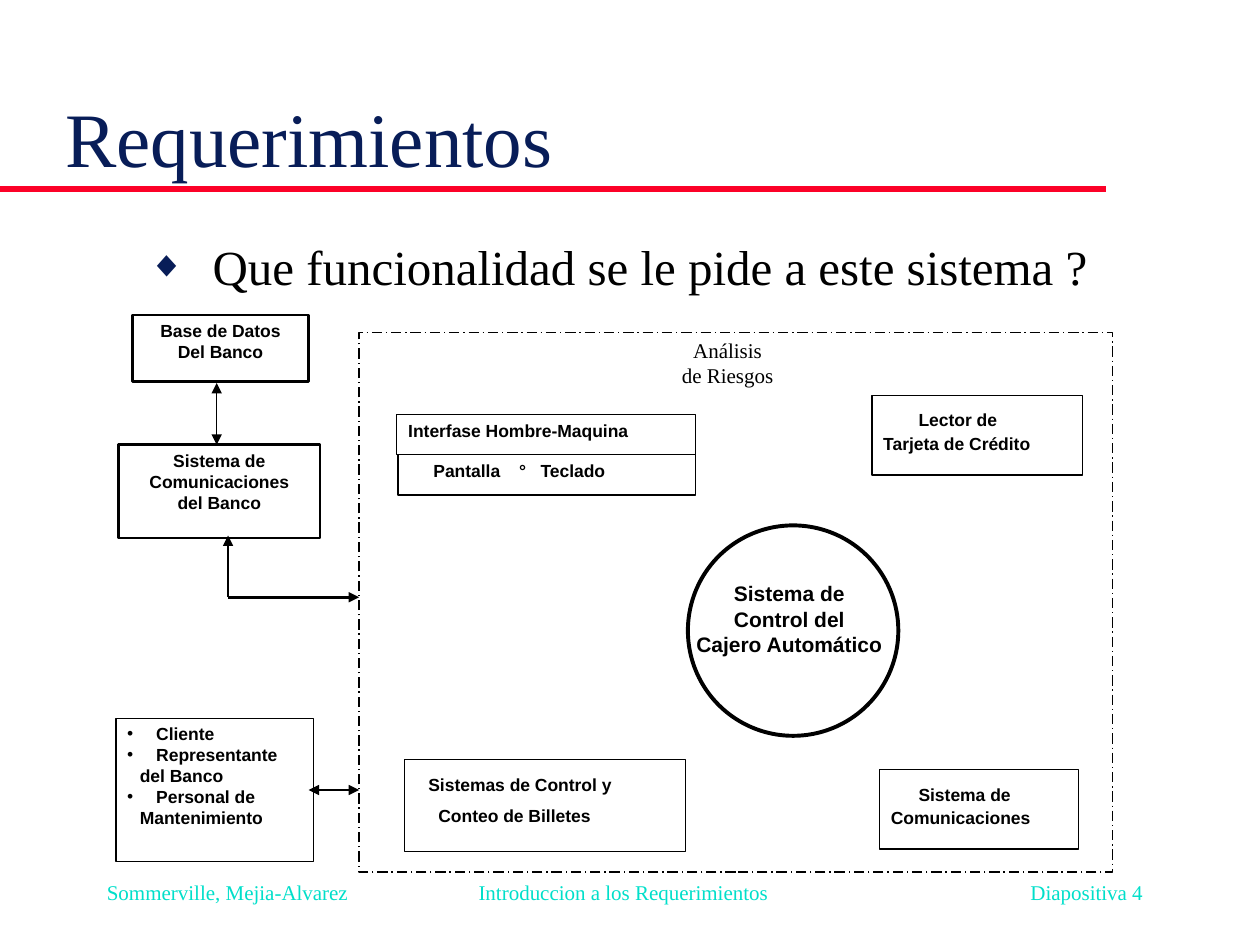
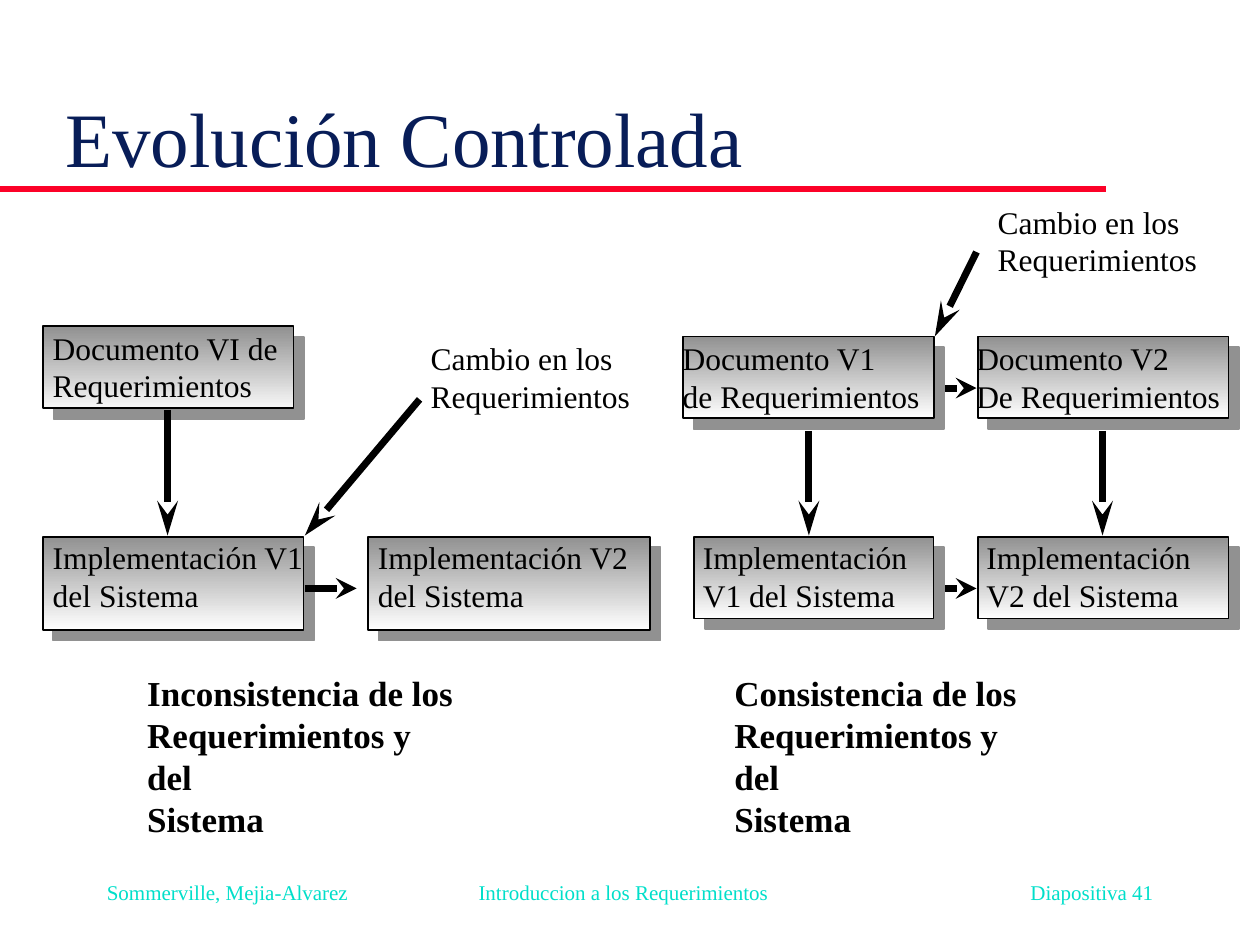
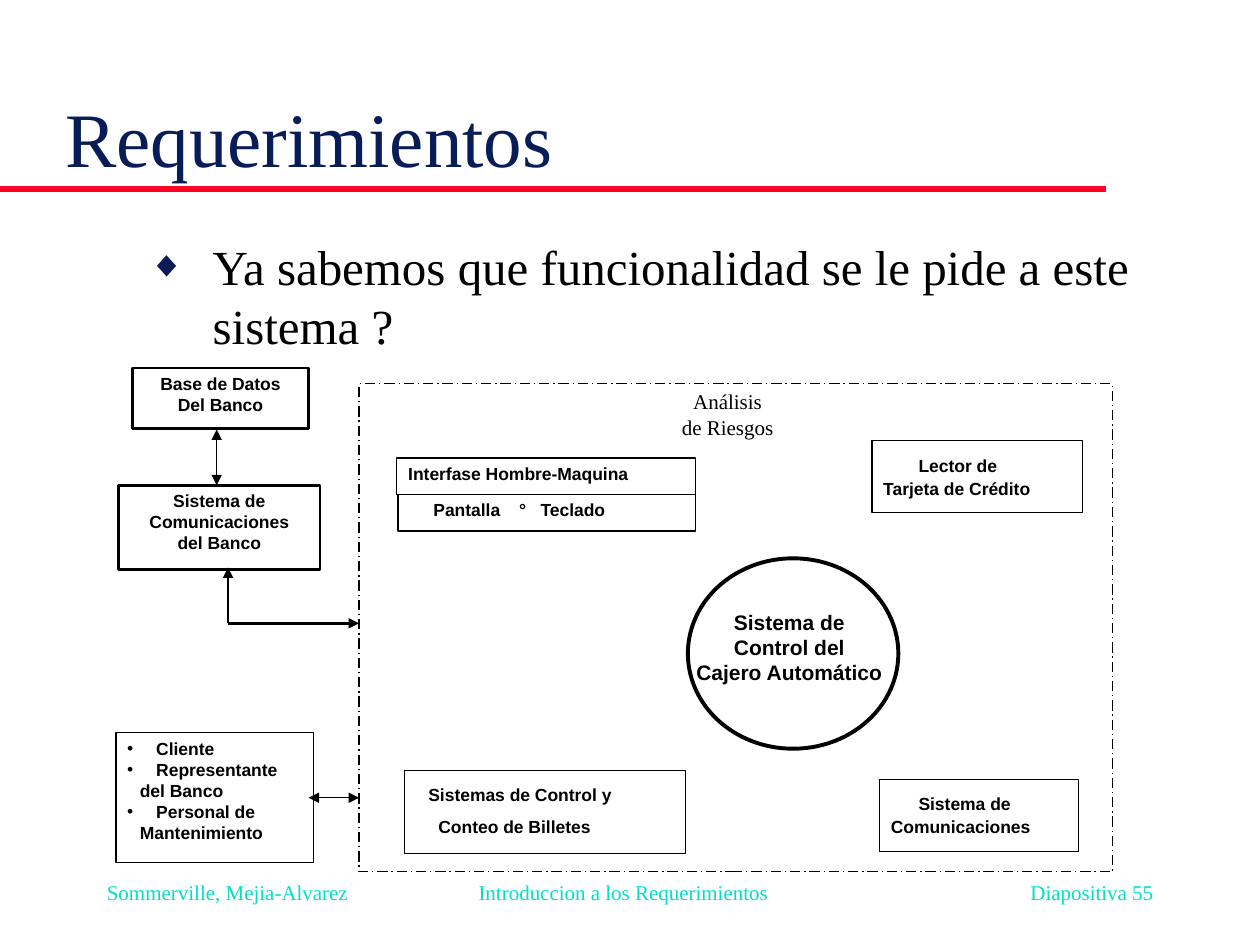
"""Builds three slides on requirements: two system diagrams and one evolution chart."""
import pptx
import pptx.dml.color
import pptx.enum.dml
import pptx.enum.shapes
import pptx.enum.text
import pptx.oxml
import pptx.oxml.ns
import pptx.util

COLUMNS, ROWS = 100, 75
WIDTH, HEIGHT = pptx.util.Inches(10), pptx.util.Inches(7.5)
BLACK, NAVY, RED, AQUA, GREY, WHITE = (
    "000000", "081D58", "FC0128", "00DFCA", "919191", "FFFFFF")
SERIF, SANS = "Times New Roman", "Arial"
WIDE_INSET, SMALL_INSET, LOW_INSET = (1, 0.5), (0.9, 0.4), (0.9, 1.1)
SHAPES = pptx.enum.shapes.MSO_SHAPE
ANCHORS = pptx.enum.text.MSO_ANCHOR
CENTER = pptx.enum.text.PP_ALIGN.CENTER

TITLE = {"size": 44, "name": SERIF, "color": NAVY}
BODY = {"size": 28, "name": SERIF, "color": BLACK}
FOOTER = {"size": 12, "name": SERIF, "color": AQUA}
NOTE = {"size": 12, "name": SERIF, "color": BLACK}
LABEL = {"size": 18, "name": SERIF, "color": BLACK}
VERDICT = {"size": 20, "name": SERIF, "color": BLACK, "bold": True}
PART = {"size": 10, "name": SANS, "color": BLACK, "bold": True}
CORE = {"size": 12, "name": SANS, "color": BLACK, "bold": True}

DIAGRAM_BOTTOM = 69.2


def rgb(code):
    """Turn a hex string into a colour."""
    return pptx.dml.color.RGBColor.from_string(code)


def across(columns):
    """Length of a number of grid columns."""
    return round(WIDTH * columns / COLUMNS)


def down(rows):
    """Length of a number of grid rows."""
    return round(HEIGHT * rows / ROWS)


def area(left, top, width, height):
    """Grid area as lengths."""
    return across(left), down(top), across(width), down(height)


def add_xml(parent, tag, **attributes):
    """Append a DrawingML element and return it."""
    child = parent.makeelement(pptx.oxml.ns.qn("a:" + tag), attributes)
    parent.append(child)
    return child


def format_para(para, typeface, left=0, hang=0, before=0, bullet=None, tint=None):
    """Set indents (in columns), space before and bullet."""
    para.space_before = pptx.util.Pt(before)
    props = para._p.get_or_add_pPr()
    props.set("marL", str(across(left)))
    props.set("indent", str(-across(hang)))
    if tint:
        add_xml(add_xml(props, "buClr"), "srgbClr", val=tint)
        add_xml(props, "buSzPct", val="75000")
    if bullet:
        add_xml(props, "buFont", typeface=typeface)
        add_xml(props, "buChar", char=bullet)
    else:
        add_xml(props, "buNone")


def write(box, lines, style, inset=WIDE_INSET, align=pptx.enum.text.PP_ALIGN.LEFT,
          anchor=ANCHORS.TOP, wrap=True):
    """Fill a shape with lines; a line is a text or a (text, format) pair."""
    frame = box.text_frame
    side, edge = across(inset[0]), down(inset[1])
    settings = {"word_wrap": wrap, "vertical_anchor": anchor,
                "margin_left": side, "margin_right": side,
                "margin_top": edge, "margin_bottom": edge}
    for name, value in settings.items():
        setattr(frame, name, value)
    for index, line in enumerate(lines):
        text, layout = (line, {}) if isinstance(line, str) else line
        para = frame.add_paragraph() if index else frame.paragraphs[0]
        para.alignment = align
        format_para(para, style["name"], **layout)
        span = para.add_run()
        span.text = text
        font = {**style, "size": pptx.util.Pt(style["size"])}
        span.font.color.rgb = rgb(font.pop("color"))
        for name, value in font.items():
            setattr(span.font, name, value)


def add_text(page, place, lines, style, **options):
    """Add a text box."""
    write(page.shapes.add_textbox(*area(*place)), lines, style, **options)


def add_outline(page, place, weight=0.75, kind=SHAPES.RECTANGLE, dash=None):
    """Add an unfilled black outline."""
    box = page.shapes.add_shape(kind, *area(*place))
    box.shadow.inherit = False
    box.fill.background()
    box.line.color.rgb = rgb(BLACK)
    box.line.width = pptx.util.Pt(weight)
    if dash:
        box.line.dash_style = dash
    return box


def add_block(page, place, end=WHITE):
    """Add a grey gradient block with a solid offset shadow."""
    box = add_outline(page, place, 1)
    box.fill.gradient()
    box.fill.gradient_angle = 270
    for stop, code in zip(box.fill.gradient_stops, (GREY, end)):
        stop.color.rgb = rgb(code)
    effects = box._element.spPr.find(pptx.oxml.ns.qn("a:effectLst"))
    shadow = add_xml(effects, "outerShdw", blurRad="0",
                     dist=str(pptx.util.Pt(8.5)), dir="2700000",
                     algn="ctr", rotWithShape="0")
    add_xml(shadow, "srgbClr", val=GREY)


def add_line(page, start, end, weight, color=BLACK, **tips):
    """Add a straight line; tips maps headEnd or tailEnd to (type, length)."""
    line = page.shapes.add_connector(
        pptx.enum.shapes.MSO_CONNECTOR.STRAIGHT,
        across(start[0]), down(start[1]), across(end[0]), down(end[1]))
    line.line.color.rgb = rgb(color)
    line.line.width = pptx.util.Pt(weight)
    stroke = line.line._get_or_add_ln()
    for tag in ("headEnd", "tailEnd"):
        if tag in tips:
            kind, length = tips[tag]
            add_xml(stroke, tag, type=kind, w="med", len=length)
    add_xml(line._element.spPr, "effectLst")


def start_page(deck, title, number):
    """Add a blank page with its title, red rule and footer."""
    page = deck.slides.add_slide(deck.slide_layouts[6])
    add_line(page, (0, 15), (87.8, 15), 4, RED)
    footers = ((7.5, 25, "Sommerville, Mejia-Alvarez"),
               (37, 30, "Introduccion a los Requerimientos"),
               (80.8, 15, f"Diapositiva {number}"))
    for left, width, text in footers:
        add_text(page, (left, 68.3, width, 5), [text], FOOTER, anchor=ANCHORS.MIDDLE)
    add_text(page, (4.2, 2.9, 85, 12.1), [title], TITLE, anchor=ANCHORS.BOTTOM)
    return page


def add_question(page, text):
    """Add the bulleted question above the diagram."""
    layout = {"left": 5.1, "hang": 5.1, "before": 5.6, "bullet": "\u25c6", "tint": NAVY}
    add_text(page, (10.8, 18.3, 85, 45), [(text, layout)], BODY)


def draw_system(page, scale=1):
    """Draw the cash machine diagram, squeezed by scale towards its bottom edge."""
    def row(value):
        return DIAGRAM_BOTTOM - (DIAGRAM_BOTTOM - value) * scale

    def fit(left, top, width, height):
        return left, row(top), width, height * scale

    add_outline(page, fit(54.6, 41.7, 16.7, 16.7), 2.25, SHAPES.OVAL)
    add_outline(page, fit(28.5, 26.4, 59.8, 42.8),
                dash=pptx.enum.dml.MSO_LINE.LONG_DASH_DOT)

    bullet = {"bullet": "\u2022", "left": 2.3, "hang": 2.3}
    follow = {"left": 1}
    left_parts = (
        ((31.5, 32.9, 23.7, 3.2), SMALL_INSET, ["Interfase Hombre-Maquina"]),
        ((31.6, 36.1, 23.6, 3.2), SMALL_INSET, [("Pantalla", {"left": 1.9})]),
        ((32.1, 60.3, 22.3, 7.3), LOW_INSET,
         [("Sistemas de Control y", {"left": 1}),
          ("Conteo de Billetes", {"left": 1.8, "before": 6.2})]),
        ((69.8, 61.1, 15.8, 6.3), LOW_INSET,
         [("Sistema de", {"left": 2.2}), ("Comunicaciones", {"before": 1.2})]),
        ((69.2, 31.4, 16.7, 6.3), LOW_INSET,
         [("Lector de", {"left": 2.8}), ("Tarjeta de Cr\u00e9dito", {"before": 1.2})]),
        ((9.2, 57, 15.7, 11.4), SMALL_INSET,
         [("Cliente", bullet), ("Representante", bullet), ("del Banco", follow),
          ("Personal de", bullet), ("Mantenimiento", follow)]),
    )
    for place, inset, lines in left_parts:
        write(add_outline(page, fit(*place)), lines, PART, inset=inset)
    for left, width, text in ((40.3, 3, "\u00b0"), (42, 10, "Teclado")):
        add_text(page, fit(left, 36.1, width, 3.2), [text], PART, inset=SMALL_INSET)

    bank_parts = (
        ((10.5, 25, 14, 5.3), ["Base de Datos", "Del Banco"]),
        ((9.4, 35.3, 16, 7.4), ["Sistema de", "Comunicaciones", "del Banco"]),
    )
    for place, lines in bank_parts:
        write(add_outline(page, fit(*place), 1.5), lines, PART,
              inset=SMALL_INSET, align=CENTER)

    captions = (
        ((52.8, 45.7, 19.7, 8.2),
         ["Sistema de", "Control del", "Cajero Autom\u00e1tico"], CORE),
        ((47.9, 26.4, 19.7, 3.4), ["An\u00e1lisis", "de Riesgos"], NOTE),
    )
    for place, lines, style in captions:
        add_text(page, fit(*place), lines, style, inset=SMALL_INSET, align=CENTER)

    tip = ("triangle", "med")
    corner = (18.1, row(47.4))
    for end in ((18.1, row(42.5)), (28.5, row(47.4))):
        add_line(page, corner, end, 1.5, tailEnd=tip)
    for start, end in (((17.2, row(30.4)), (17.2, row(35.3))),
                       ((24.5, row(62.7)), (28.5, row(62.7)))):
        add_line(page, start, end, 0.75, headEnd=tip, tailEnd=tip)


def draw_evolution(page):
    """Draw the inconsistent and the consistent way to change requirements."""
    change = ["Cambio en los", "Requerimientos"]
    blocks = (
        ((3.4, 25.9, 19.9, 6.5), (3.2, 25.6, 20.6),
         ["Documento VI de", "Requerimientos"]),
        ((3.4, 42.6, 20.7, 7.4), (3.2, 42.2, 21.9),
         ["Implementaci\u00f3n V1", "del Sistema"]),
        ((29.2, 42.6, 22.4, 7.4), (29, 42.2, 21.9),
         ["Implementaci\u00f3n V2", "del Sistema"]),
        ((54.2, 26.7, 19.9, 6.5), (53.2, 26.4, 20.8),
         ["Documento V1", "de Requerimientos"]),
        ((77.6, 26.7, 19.9, 6.5), (76.5, 26.4, 21.4),
         ["Documento V2", "De Requerimientos"]),
        ((55.1, 42.6, 19, 6.5), (54.8, 42.2, 18.3),
         ["Implementaci\u00f3n", "V1 del Sistema"]),
        ((77.6, 42.6, 19.9, 6.5), (77.3, 42.2, 18.3),
         ["Implementaci\u00f3n", "V2 del Sistema"]),
    )
    for index, (place, label, lines) in enumerate(blocks):
        add_block(page, place, WHITE if index else "F7F7F7")
        add_text(page, (*label, 7), lines, LABEL, wrap=False)
    for left, top in ((33.2, 26.4), (78.2, 15.6)):
        add_text(page, (left, top, 17.8, 7), change, LABEL, wrap=False)

    arrows = (
        ((33.3, 31.7), (24.2, 42.5), "lg"), ((77.5, 20), (74.2, 26.7), "lg"),
        ((13.3, 32.5), (13.3, 42.5), "lg"), ((64.2, 34.2), (64.2, 42.5), "lg"),
        ((87.5, 34.2), (87.5, 42.5), "lg"), ((24.2, 46.7), (28.3, 46.7), "med"),
        ((75, 30.8), (77.5, 30.8), "med"), ((75, 46.7), (77.5, 46.7), "med"),
    )
    for start, end, length in arrows:
        add_line(page, start, end, 4, tailEnd=("stealth", length))

    for left, word in ((10.7, "Inconsistencia"), (57.3, "Consistencia")):
        add_text(page, (left, 52.8, 26.6, 11),
                 [f"{word} de los", "Requerimientos y del", "Sistema"], VERDICT)


def main():
    """Build and save the deck."""
    deck = pptx.Presentation()
    deck.slide_width, deck.slide_height = WIDTH, HEIGHT

    page = start_page(deck, "Requerimientos", 4)
    add_question(page, "Que funcionalidad se le pide a este sistema ?")
    draw_system(page)

    draw_evolution(start_page(deck, "Evoluci\u00f3n Controlada", 41))

    page = start_page(deck, "Requerimientos", 55)
    add_question(page, "Ya sabemos que funcionalidad se le pide a este sistema ?")
    draw_system(page, scale=0.905)

    deck.save("out.pptx")


main()
